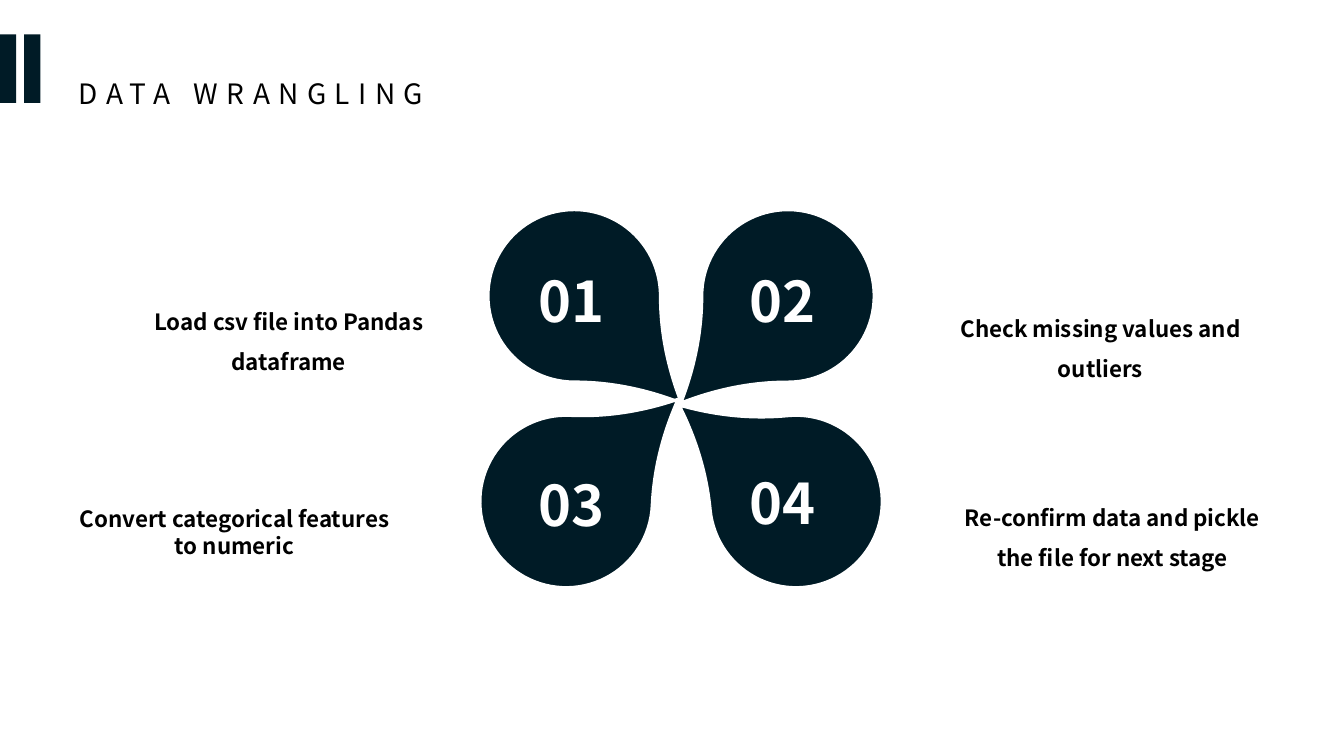
import dataclasses

import pptx
import pptx.dml.color
import pptx.enum.shapes
import pptx.enum.text
import pptx.util

Inches = pptx.util.Inches
Shape = pptx.enum.shapes.MSO_SHAPE
Align = pptx.enum.text.PP_ALIGN

FONT = "Noto Sans CJK SC"
NAVY, WHITE, BLACK = "001B26", "FFFFFF", "000000"
PETAL_SIZE = 1.71
BAR_LEFTS = (0, 0.24)


@dataclasses.dataclass
class Step:
    number: str
    petal: tuple[float, float]
    rotation: float
    number_at: tuple[float, float]
    caption: str
    caption_box: tuple[float, float, float, float]
    line_spacing: float = 1.5
    space_after: float = 12


STEPS = [
    Step("01", (4.84, 2.08), 90, (5.24, 2.6),
         "Load csv file into Pandas dataframe", (0.95, 2.87, 3.83, 1.35)),
    Step("02", (6.96, 2.08), 180, (7.34, 2.6),
         "Check missing values and outliers", (9.16, 2.94, 3.51, 1.62)),
    Step("03", (4.76, 4.12), 2.6, (5.24, 4.62),
         "Convert categorical features to numeric", (0.57, 4.96, 3.51, 0.64), 1, 0),
    Step("04", (7.04, 4.12), 264.5, (7.34, 4.6),
         "Re-confirm data and pickle the file for next stage", (9.35, 4.82, 3.37, 1.62)),
]


def rgb(color: str) -> pptx.dml.color.RGBColor:
    return pptx.dml.color.RGBColor.from_string(color)


def write(box, text: str, size: float, color: str, bold: bool, align=Align.LEFT):
    """Fill the box with one top-anchored paragraph and return that paragraph."""
    frame = box.text_frame
    frame.word_wrap = True
    frame.vertical_anchor = pptx.enum.text.MSO_ANCHOR.TOP
    frame.text = text
    para = frame.paragraphs[0]
    para.alignment = align
    font = para.runs[0].font
    font.name, font.size, font.bold = FONT, pptx.util.Pt(size), bold
    font.color.rgb = rgb(color)
    return para


def add_filled(slide, kind, left: float, top: float, width: float, height: float,
               color: str):
    shape = slide.shapes.add_shape(
        kind, Inches(left), Inches(top), Inches(width), Inches(height))
    shape.shadow.inherit = False
    shape.fill.solid()
    shape.fill.fore_color.rgb = rgb(color)
    shape.line.fill.background()
    return shape


def add_petal(slide, step: Step) -> None:
    petal = add_filled(slide, Shape.TEAR, *step.petal, PETAL_SIZE, PETAL_SIZE, NAVY)
    petal.adjustments[0] = 1.244
    petal.rotation = step.rotation
    petal.line.color.rgb = rgb(WHITE)
    petal.line.width = pptx.util.Pt(2.25)


def add_number(slide, step: Step) -> None:
    left, top = step.number_at
    box = slide.shapes.add_textbox(Inches(left), Inches(top), Inches(1.4), Inches(0.77))
    write(box, step.number, 40, WHITE, True)


def add_caption(slide, step: Step) -> None:
    box = add_filled(slide, Shape.RECTANGLE, *step.caption_box, WHITE)
    para = write(box, step.caption, 16, BLACK, True, Align.CENTER)
    para.line_spacing = step.line_spacing
    para.space_after = pptx.util.Pt(step.space_after)


def add_title(slide) -> None:
    title = slide.shapes.title
    title.left, title.top = Inches(0.68), Inches(0.71)
    title.width, title.height = Inches(4.29), Inches(0.44)
    para = write(title, "DATA WRANGLING", 20, BLACK, False)
    para.runs[0].font._element.set("spc", "600")


def main() -> None:
    deck = pptx.Presentation()
    deck.slide_width, deck.slide_height = Inches(13.33), Inches(7.5)
    page = deck.slides.add_slide(deck.slide_layouts.get_by_name("Title Only"))
    add_title(page)
    for draw in (add_petal, add_number, add_caption):
        for step in STEPS:
            draw(page, step)
    for left in BAR_LEFTS:
        add_filled(page, Shape.RECTANGLE, left, 0.34, 0.16, 0.68, NAVY)
    deck.save("out.pptx")


if __name__ == "__main__":
    main()
